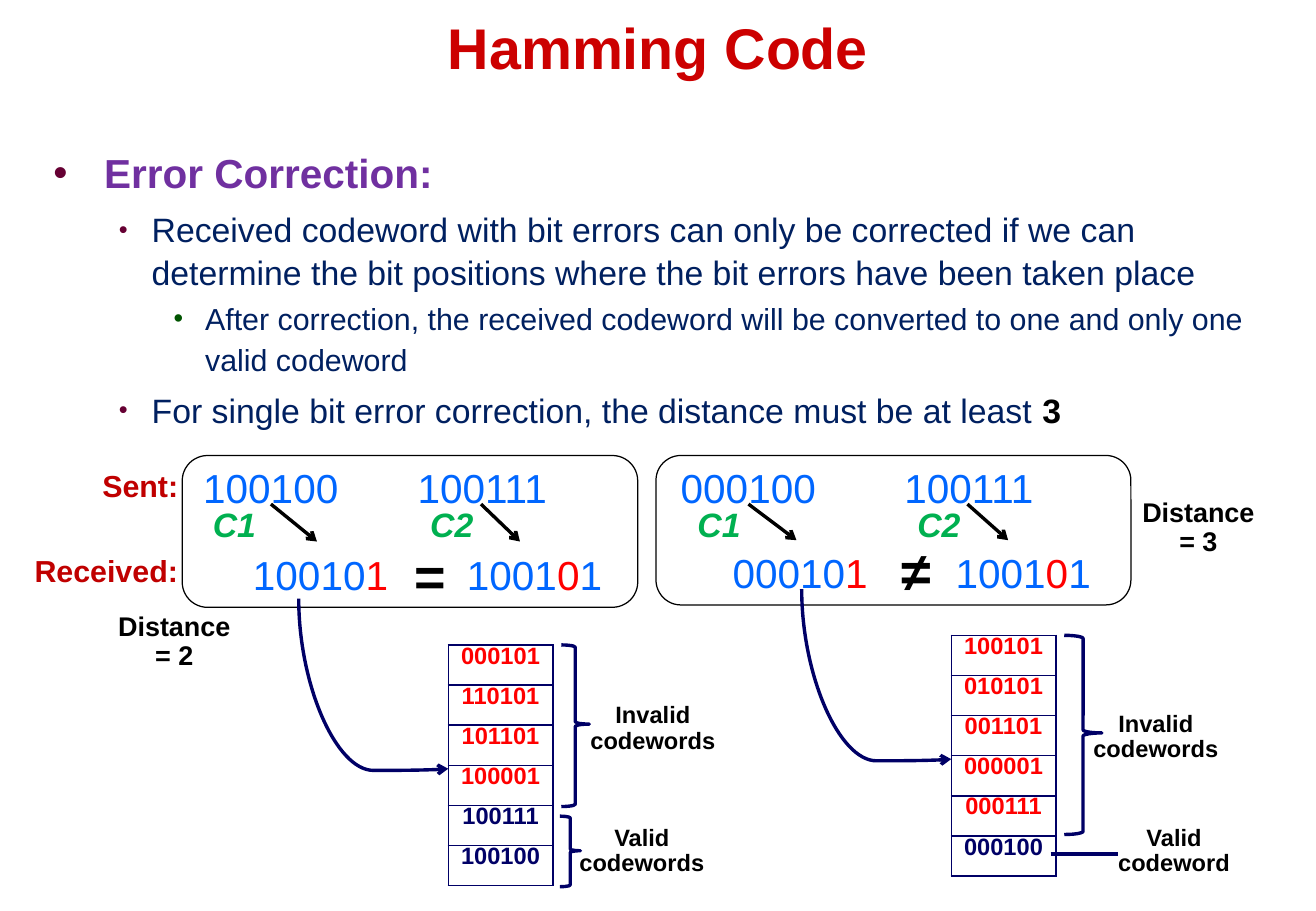
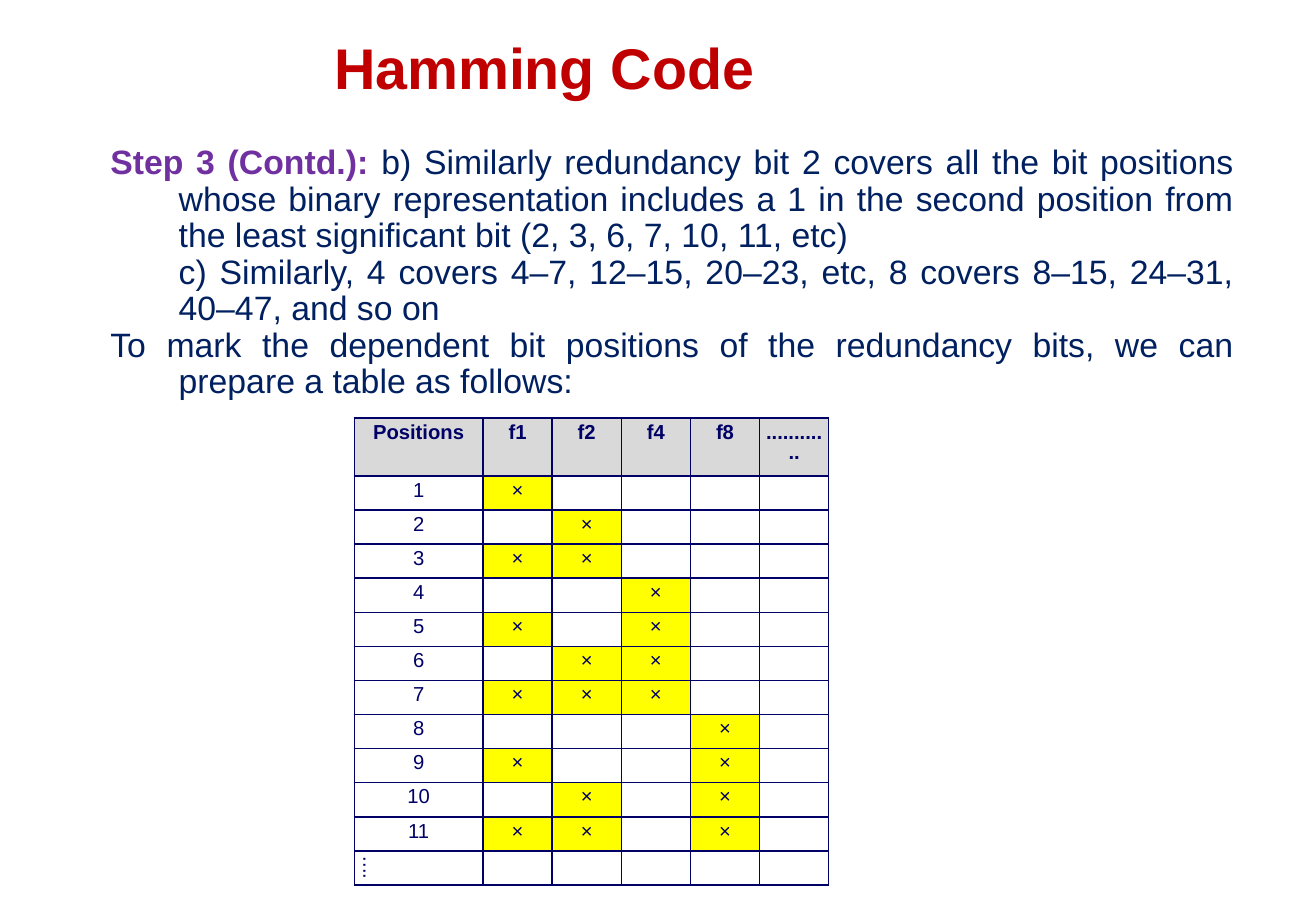
from dataclasses import dataclass

from lxml import etree
from pptx import Presentation
from pptx import util as u
from pptx.dml.color import RGBColor
from pptx.enum import shapes, text
from pptx.oxml import ns

ALIGN = text.PP_ALIGN


@dataclass(frozen=True)
class Theme:
    font: str = "Arial"
    title: int = 34
    sign: int = 32
    large: int = 24
    body: int = 20
    detail: int = 18
    distance: int = 16
    small: int = 14
    table: int = 12
    spacing: float = 0.9
    title_red: str = "CC0000"
    dark_red: str = "C00000"
    error_red: str = "FF0000"
    purple: str = "7030A0"
    body_blue: str = "002060"
    code_blue: str = "0066FF"
    navy: str = "000066"
    green: str = "00B050"
    black: str = "000000"
    maroon: str = "660033"
    dark_green: str = "005400"
    header_grey: str = "D9D9D9"
    mark_yellow: str = "FFFF00"


THEME = Theme()


# Text
def set_font(font, size, color, bold=False, italic=False):
    font.name, font.size = THEME.font, u.Pt(size)
    font.bold, font.italic = bold, italic
    font.color.rgb = RGBColor.from_string(color)


def write(para, spans, size, color, bold=False, italic=False, align=ALIGN.CENTER,
          spacing=THEME.spacing):
    """Fill a paragraph; a span is a string or (string, colour, bold)."""
    para.alignment, para.line_spacing = align, spacing
    set_font(para.font, size, color, bold, italic)
    for part in [spans] if isinstance(spans, str) else spans:
        span = para.add_run()
        if isinstance(part, str):
            span.text = part
        else:
            span.text = part[0]
            set_font(span.font, size, part[1], part[2])


def indent(para, left, first):
    properties = para._p.get_or_add_pPr()
    properties.set("marL", str(u.Pt(left)))
    properties.set("indent", str(u.Pt(first)))
    return properties


def add_bullet(para, left, first, color, percent):
    properties = indent(para, left, first)
    holder = etree.SubElement(properties, ns.qn("a:buClr"))
    etree.SubElement(holder, ns.qn("a:srgbClr"), val=color)
    etree.SubElement(properties, ns.qn("a:buSzPct"), val=str(percent * 1000))
    etree.SubElement(properties, ns.qn("a:buFont"), typeface=THEME.font)
    etree.SubElement(properties, ns.qn("a:buChar"), char="•")


def add_box(slide, left, top, width, height, wrap=True, grow=True):
    box = slide.shapes.add_textbox(u.Pt(left), u.Pt(top), u.Pt(width), u.Pt(height))
    frame = box.text_frame
    frame.word_wrap = wrap
    if grow:
        frame.auto_size = text.MSO_AUTO_SIZE.SHAPE_TO_FIT_TEXT
    return frame


def add_label(slide, place, spans, size, color, bold=True, italic=False, wrap=True):
    frame = add_box(slide, *place, wrap=wrap)
    write(frame.paragraphs[0], spans, size, color, bold, italic)


def add_title(slide, place, color):
    frame = add_box(slide, *place, wrap=False, grow=False)
    frame.margin_left = frame.margin_right = frame.margin_top = frame.margin_bottom = 0
    frame.vertical_anchor = text.MSO_ANCHOR.MIDDLE
    write(frame.paragraphs[0], "Hamming Code", THEME.title, color, bold=True)


# Lines and outlines
def add_line(slide, start, end, color, arrow=False, kind=shapes.MSO_CONNECTOR.STRAIGHT):
    line = slide.shapes.add_connector(kind, *map(u.Pt, (*start, *end)))
    line.line.color.rgb = RGBColor.from_string(color)
    line.line.width = u.Pt(2)
    if arrow:
        etree.SubElement(line.line._get_or_add_ln(), ns.qn("a:tailEnd"), type="arrow")
    etree.SubElement(line._element.spPr, ns.qn("a:effectLst"))
    return line


def add_curve(slide, start, end):
    """Curved arrow that leaves downwards and arrives from the left."""
    (x0, y0), (x1, y1) = start, end
    middle_x, middle_y = (x0 + x1) / 2, (y0 + y1) / 2
    half_w, half_h = (y1 - y0) / 2, (x1 - x0) / 2
    curve = add_line(slide, (middle_x - half_w, middle_y - half_h),
                     (middle_x + half_w, middle_y + half_h), THEME.navy, True,
                     shapes.MSO_CONNECTOR.CURVE)
    properties = curve._element.spPr
    frame = properties.find(ns.qn("a:xfrm"))
    frame.set("rot", "16200000")
    frame.set("flipH", "1")
    guides = properties.find(ns.qn("a:prstGeom")).find(ns.qn("a:avLst"))
    etree.SubElement(guides, ns.qn("a:gd"), name="adj1", fmla="val 101000")


def add_outline(slide, kind, place, color, width, adjust=()):
    shape = slide.shapes.add_shape(kind, *map(u.Pt, place))
    shape.shadow.inherit = False
    shape.fill.background()
    shape.line.color.rgb = RGBColor.from_string(color)
    shape.line.width = u.Pt(width)
    for index, value in enumerate(adjust):
        shape.adjustments[index] = value


def add_brace(slide, *place):
    add_outline(slide, shapes.MSO_SHAPE.RIGHT_BRACE, place, THEME.navy, 2, (0.083, 0.49))


# Tables
def add_table(slide, left, top, widths, heights):
    frame = slide.shapes.add_table(len(heights), len(widths), u.Pt(left), u.Pt(top),
                                   u.Pt(sum(widths)), u.Pt(sum(heights)))
    table = frame.table
    table.first_row = table.horz_banding = False
    for column, width in zip(table.columns, widths):
        column.width = u.Pt(width)
    for row, height in zip(table.rows, heights):
        row.height = u.Pt(height)
    return table


def fill_cell(cell, words, size, color, bold=False, fill=None, margin=0.0):
    cell.margin_left = cell.margin_right = u.Pt(margin)
    cell.margin_top = cell.margin_bottom = u.Pt(margin)
    if fill:
        cell.fill.solid()
        cell.fill.fore_color.rgb = RGBColor.from_string(fill)
    else:
        cell.fill.background()
    para = cell.text_frame.paragraphs[0]
    write(para, words or [], size, color, bold)
    if not words:
        etree.SubElement(para._p, ns.qn("a:endParaRPr"), sz=str(size * 100))
    properties = cell._tc.get_or_add_tcPr()
    for index, side in enumerate(("lnL", "lnR", "lnT", "lnB")):
        border = etree.Element(ns.qn("a:" + side), w=str(u.Pt(1)))
        paint = etree.SubElement(border, ns.qn("a:solidFill"))
        etree.SubElement(paint, ns.qn("a:srgbClr"), val=THEME.navy)
        properties.insert(index, border)


# Parts of the error correction slide
def add_panel(slide, left, width, height, first, sign, sign_place, label_lefts):
    """Two sent codewords, each with an arrow to what is received."""
    top, scale = 270, width / 270

    def across(x):
        return left + x * scale

    received_top = top + 55.5 * height / 90
    ends = (top + 28.8, top + 51 * height / 90)
    wrong = THEME.error_red
    for x, w, word in ((5, 95, first), (115.2, 125.3, "100111")):
        add_label(slide, (across(x), 274.3, w * scale, 24.5), word, THEME.large,
                  THEME.code_blue, bold=False)
    for x, spans in ((34.5, [first[:5], ("1", wrong, False)]),
                     (161.3, ["1001", ("0", wrong, False), "1"])):
        add_label(slide, (across(x), received_top, 95 * scale, 24.5), spans, THEME.large,
                  THEME.code_blue, bold=False)
    for start, end in ((52.6, 79.9), (177.1, 200.2)):
        add_line(slide, (across(start), ends[0]), (across(end), ends[1]), THEME.black, True)
    add_outline(slide, shapes.MSO_SHAPE.ROUNDED_RECTANGLE, (left, top, width, height),
                THEME.black, 0.75)
    add_label(slide, sign_place, sign, THEME.sign, THEME.black)
    for name, x in zip(("C1", "C2"), label_lefts):
        add_label(slide, (x, 298, 40.3, 28), name, THEME.body, THEME.green,
                  italic=True, wrap=False)


def add_codewords(slide, left, top, invalid, valid, brace_size, label_drop):
    """Column of codewords with the curve into it and the invalid ones braced."""
    words = invalid + valid
    table = add_table(slide, left, top, [62], [23.8] * len(words))
    for index, word in enumerate(words):
        color = THEME.error_red if index < len(invalid) else THEME.navy
        fill_cell(table.cell(index, 0), word, THEME.small, color, bold=True)
    add_curve(slide, (left - 88.6, top - 27.4), (left, top + 73.4))
    add_brace(slide, left + 67, top, *brace_size)
    add_label(slide, (left + 73.4, top + label_drop, 95.8, 36.7), "Invalid codewords",
              THEME.small, THEME.black)


def build_correction(slide):
    add_title(slide, (0, 0, 780, 60), THEME.title_red)
    frame = add_box(slide, 24.5, 84.2, 730.8, 411, grow=False)
    main = (58.3, -19.4, THEME.maroon, 75)
    points = (
        ("Error Correction:", (30.2, -30.2, THEME.maroon, 100), 12, 1.0,
         THEME.large, THEME.purple, True),
        ("Received codeword with bit errors can only be corrected if we can determine "
         "the bit positions where the bit errors have been taken place",
         main, 6, 1.06, THEME.body, THEME.body_blue, False),
        ("After correction, the received codeword will be converted to one and only one "
         "valid codeword", (90, -18.7, THEME.dark_green, 90), 2, 1.12,
         THEME.detail, THEME.body_blue, False),
        (["For single bit error correction, the distance must be at least ",
          ("3", THEME.black, True)], main, 6, 1.06, THEME.body, THEME.body_blue, False),
    )
    for index, (spans, bullet, before, spacing, size, color, bold) in enumerate(points):
        para = frame.add_paragraph() if index else frame.paragraphs[0]
        add_bullet(para, *bullet)
        para.space_before = u.Pt(before)
        write(para, spans, size, color, bold, align=ALIGN.LEFT, spacing=spacing)

    # Sent and received codewords
    for name, place in (("Sent:", (53.3, 275.8, 59.8, 26)),
                        ("Received:", (13, 326.2, 100, 26))):
        add_label(slide, place, name, THEME.detail, THEME.dark_red, wrap=False)
    add_panel(slide, 108, 270, 90, "100100", "=", (232.6, 322.6, 45.4, 41), (118.8, 247.7))
    add_panel(slide, 388.8, 281.5, 88.6, "000100", "≠", (524.9, 319.7, 36.7, 41),
              (406.1, 536.4))

    # Neighbouring codewords
    add_codewords(slide, 563.8, 376.6, ["100101", "010101", "001101", "000001", "000111"],
                  ["000100"], (22.3, 118.1), 41.8)
    add_line(slide, (622.8, 506.2), (662.4, 506.2), THEME.navy)
    add_codewords(slide, 265.7, 382.3, ["000101", "110101", "101101", "100001"],
                  ["100111", "100100"], (16.6, 95.8), 31)
    add_brace(slide, 331.9, 483.8, 12.2, 41.8)
    for words, left in (("Valid codeword", 648), ("Valid codewords", 332.6)):
        add_label(slide, (left, 486, 95.8, 36.7), words, THEME.small, THEME.black)
    for words, left, top in (("Distance = 2", 58.3, 360), ("Distance = 3", 665.3, 292.3)):
        add_label(slide, (left, top, 90, 41), words, THEME.distance, THEME.black)


def build_positions(slide):
    add_title(slide, (36, 12.2, 573.1, 60), THEME.dark_red)
    frame = add_box(slide, 58.3, 82.8, 680.4, 159.1)
    steps = (
        ([("Step 3 (Contd.): ", THEME.purple, True),
          "b) Similarly redundancy bit 2 covers all the bit positions whose binary "
          "representation includes a 1 in the second position from the least "
          "significant bit (2, 3, 6, 7, 10, 11, etc)"], -40.5),
        ("c) Similarly, 4 covers 4–7, 12–15, 20–23, etc, 8 covers 8–15, 24–31, 40–47, "
         "and so on", 0),
        ("To mark the dependent bit positions of the redundancy bits, we can prepare "
         "a table as follows:", -40.5),
    )
    for index, (spans, first) in enumerate(steps):
        para = frame.add_paragraph() if index else frame.paragraphs[0]
        indent(para, 40.5, first)
        write(para, spans, THEME.body, THEME.body_blue, align=ALIGN.JUSTIFY)

    # Redundancy bit f covers the positions whose binary form includes f
    bits, last = (1, 2, 4, 8), 11
    table = add_table(slide, 210, 247.7, [76.3] + [41] * 5, [34.4] + [20.1] * (last + 1))
    header = ["Positions", *(f"f{bit}" for bit in bits), "............"]
    rows = [[str(n), *("×" if n & bit else "" for bit in bits), ""]
            for n in range(1, last + 1)]
    for r, row in enumerate([header, *rows, ["....", *[""] * 5]]):
        for c, words in enumerate(row):
            fill = THEME.mark_yellow if words == "×" else None
            fill_cell(table.cell(r, c), words, THEME.table, THEME.navy, bold=r == 0,
                      fill=fill if r else THEME.header_grey, margin=2.9)
    table.cell(last + 1, 0)._tc.get_or_add_tcPr().set("vert", "vert")


def main():
    deck = Presentation()
    deck.slide_width, deck.slide_height = u.Pt(780), u.Pt(540)
    for build in (build_correction, build_positions):
        build(deck.slides.add_slide(deck.slide_layouts[6]))
    deck.save("out.pptx")


if __name__ == "__main__":
    main()
